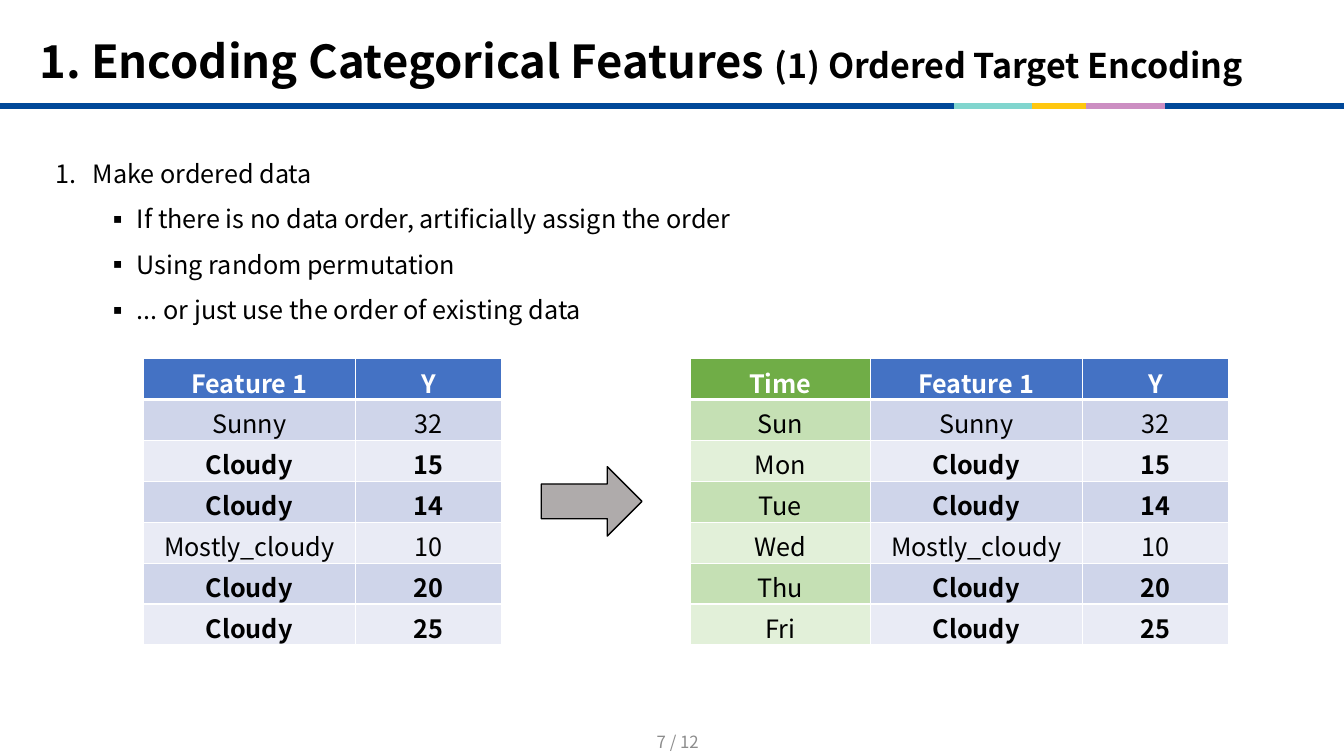
from dataclasses import dataclass

from lxml import etree
from pptx import Presentation
from pptx.dml.color import RGBColor
from pptx.enum.shapes import MSO_CONNECTOR, MSO_SHAPE
from pptx.enum.text import MSO_ANCHOR, MSO_AUTO_SIZE, PP_ALIGN
from pptx.oxml.ns import qn
from pptx.util import Cm, Pt

STRAIGHT = MSO_CONNECTOR.STRAIGHT
RIGHT_ARROW = MSO_SHAPE.RIGHT_ARROW
MIDDLE, TOP = MSO_ANCHOR.MIDDLE, MSO_ANCHOR.TOP
FIT_SHAPE = MSO_AUTO_SIZE.SHAPE_TO_FIT_TEXT
LEFT, CENTER, RIGHT = PP_ALIGN.LEFT, PP_ALIGN.CENTER, PP_ALIGN.RIGHT


@dataclass(frozen=True)
class Theme:
    font: str = "Noto Sans CJK KR"
    title: float = 32.4
    subtitle: float = 24.3
    body: float = 18
    footer: float = 12
    black: str = "000000"
    white: str = "FFFFFF"
    gray: str = "8C8C8C"
    arrow: str = "AFABAB"
    navy: str = "004899"
    teal: str = "81D5CE"
    yellow: str = "FFC70F"
    pink: str = "CC8EC2"
    blue_header: str = "4472C4"
    blue_bands: tuple = ("CFD5EA", "E9EBF5")
    green_header: str = "70AD47"
    green_bands: tuple = ("C5E0B4", "E2F0D9")


THEME = Theme()
RULE_Y = 2.67
RULES = [
    (27.66, 33.87, THEME.navy),
    (0, 24.54, THEME.navy),
    (24.03, 26.01, THEME.teal),
    (26.01, 27.38, THEME.yellow),
    (27.38, 29.36, THEME.pink),
]
STEP = "Make ordered data"
DETAILS = [
    "If there is no data order, artificially assign the order",
    "Using random permutation",
    "... or just use the order of existing data",
]
WEATHER = [
    ("Feature 1", "Y"),
    ("Sunny", "32"),
    ("Cloudy", "15"),
    ("Cloudy", "14"),
    ("Mostly_cloudy", "10"),
    ("Cloudy", "20"),
    ("Cloudy", "25"),
]
TIMES = ["Time", "Sun", "Mon", "Tue", "Wed", "Thu", "Fri"]
TABLE_TOP, ROW_HEIGHT = 9.04, 1.03
TIME_WIDTH, WEATHER_WIDTHS = 4.53, [5.34, 3.69]


def add_text(p, text, *, size=THEME.body, color=THEME.black, bold=False, align=LEFT):
    p.alignment = align
    r = p.add_run()
    r.text = text
    r.font.name = THEME.font
    r.font.size = Pt(size)
    r.font.bold = bold
    r.font.color.rgb = RGBColor.from_string(color)


class SlideBuilder:
    """Draws styled elements on the current slide."""

    def __init__(self, prs, theme):
        self.theme = theme
        self.slide = prs.slides.add_slide(prs.slide_layouts[6])

    def rule(self, x1, x2, y, color):
        line = self.slide.shapes.add_connector(STRAIGHT, Cm(x1), Cm(y), Cm(x2), Cm(y))
        line.line.color.rgb = RGBColor.from_string(color)
        line.line.width = Pt(4.5)
        etree.SubElement(line._element.spPr, qn("a:effectLst"))

    def text_box(self, x, y, w, h, anchor=TOP, wrap=True):
        sp = self.slide.shapes.add_textbox(Cm(x), Cm(y), Cm(w), Cm(h))
        tf = sp.text_frame
        tf.word_wrap = wrap
        tf.vertical_anchor = anchor
        return tf

    def bullet(self, p, text, tag, attribute, value, indent, hanging, level=0):
        p.level = level
        p.line_spacing = 1.5
        add_text(p, text)
        pPr = p._p.get_or_add_pPr()
        pPr.set("marL", str(Cm(indent)))
        pPr.set("indent", str(-Cm(hanging)))
        etree.SubElement(pPr, qn("a:buFont")).set("typeface", self.theme.font)
        etree.SubElement(pPr, qn(tag)).set(attribute, value)

    def arrow(self, x, y, w, h):
        sp = self.slide.shapes.add_shape(RIGHT_ARROW, Cm(x), Cm(y), Cm(w), Cm(h))
        sp.shadow.inherit = False
        sp.fill.solid()
        sp.fill.fore_color.rgb = RGBColor.from_string(self.theme.arrow)
        sp.line.color.rgb = RGBColor.from_string(self.theme.black)
        sp.line.width = Pt(1)

    def borders(self, cell, top, bottom):
        tcPr = cell._tc.get_or_add_tcPr()
        for side, width in (("L", 1), ("R", 1), ("T", top), ("B", bottom)):
            ln = etree.SubElement(tcPr, qn(f"a:ln{side}"), w=str(Pt(width)))
            fill = etree.SubElement(ln, qn("a:solidFill"))
            etree.SubElement(fill, qn("a:srgbClr"), val=self.theme.white)

    def table(self, x, y, widths, rows):
        t = self.theme
        table = self.slide.shapes.add_table(
            len(rows), len(widths), Cm(x), Cm(y), Cm(sum(widths)), Cm(ROW_HEIGHT * len(rows))
        ).table
        for column, width in zip(table.columns, widths):
            column.width = Cm(width)
        for i, row in enumerate(rows):
            table.rows[i].height = Cm(ROW_HEIGHT)
            for j, text in enumerate(row):
                is_time = text in TIMES
                header = t.green_header if is_time else t.blue_header
                bands = t.green_bands if is_time else t.blue_bands
                cell = table.cell(i, j)
                self.borders(cell, top=3 if i == 1 else 1, bottom=3 if i == 0 else 1)
                cell.fill.solid()
                cell.fill.fore_color.rgb = RGBColor.from_string(
                    header if i == 0 else bands[(i - 1) % 2]
                )
                add_text(
                    cell.text_frame.paragraphs[0],
                    text,
                    color=t.white if i == 0 else t.black,
                    bold=i == 0 or ("Cloudy" in row and not is_time),
                    align=CENTER,
                )


def main():
    prs = Presentation()
    prs.slide_width, prs.slide_height = Cm(33.87), Cm(19.05)
    s = SlideBuilder(prs, THEME)

    for x1, x2, color in RULES:
        s.rule(x1, x2, RULE_Y, color)

    p = s.text_box(0.74, 0.56, 32.33, 2.08, anchor=MIDDLE).paragraphs[0]
    p.line_spacing = 0.9
    add_text(p, "1. Encoding Categorical Features ", size=THEME.title, bold=True)
    add_text(p, "(1) Ordered Target Encoding", size=THEME.subtitle, bold=True)

    s.table(3.61, TABLE_TOP, WEATHER_WIDTHS, WEATHER)
    timed = [(time, *row) for time, row in zip(TIMES, WEATHER)]
    s.table(17.4, TABLE_TOP, [TIME_WIDTH, *WEATHER_WIDTHS], timed)
    s.arrow(13.64, 11.76, 2.54, 1.75)

    tf = s.text_box(1.14, 3.48, 17.65, 4.72, wrap=False)
    tf.auto_size = FIT_SHAPE
    s.bullet(tf.paragraphs[0], STEP, "a:buAutoNum", "type", "arabicPeriod", 0.95, 0.95)
    for detail in DETAILS:
        s.bullet(tf.add_paragraph(), detail, "a:buChar", "char", "▪", 2.06, 0.79, level=1)

    p = s.text_box(15.57, 18.36, 2.29, 0.69, anchor=MIDDLE).paragraphs[0]
    add_text(p, "7 / 12", size=THEME.footer, color=THEME.gray, align=RIGHT)

    prs.save("out.pptx")


if __name__ == "__main__":
    main()
